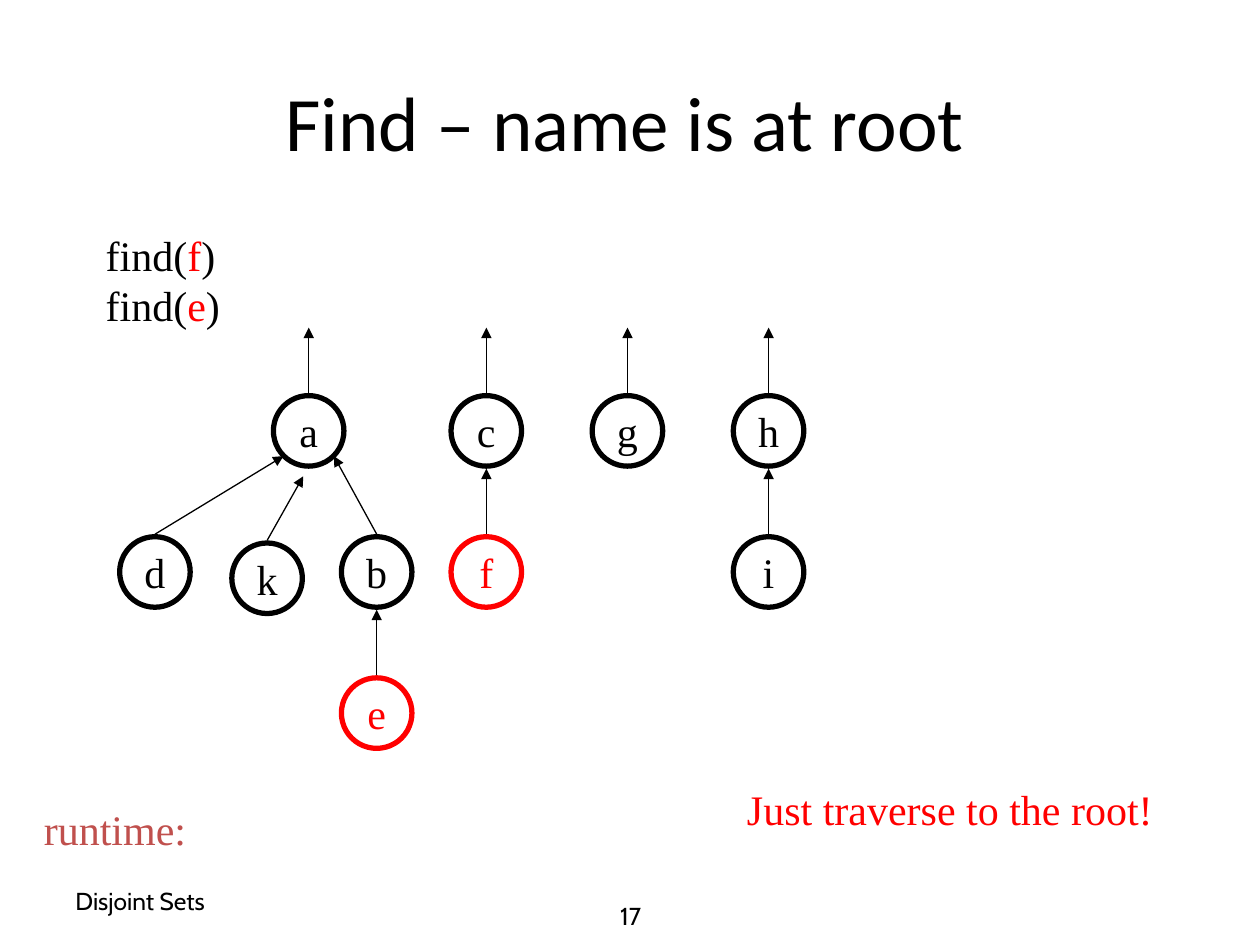
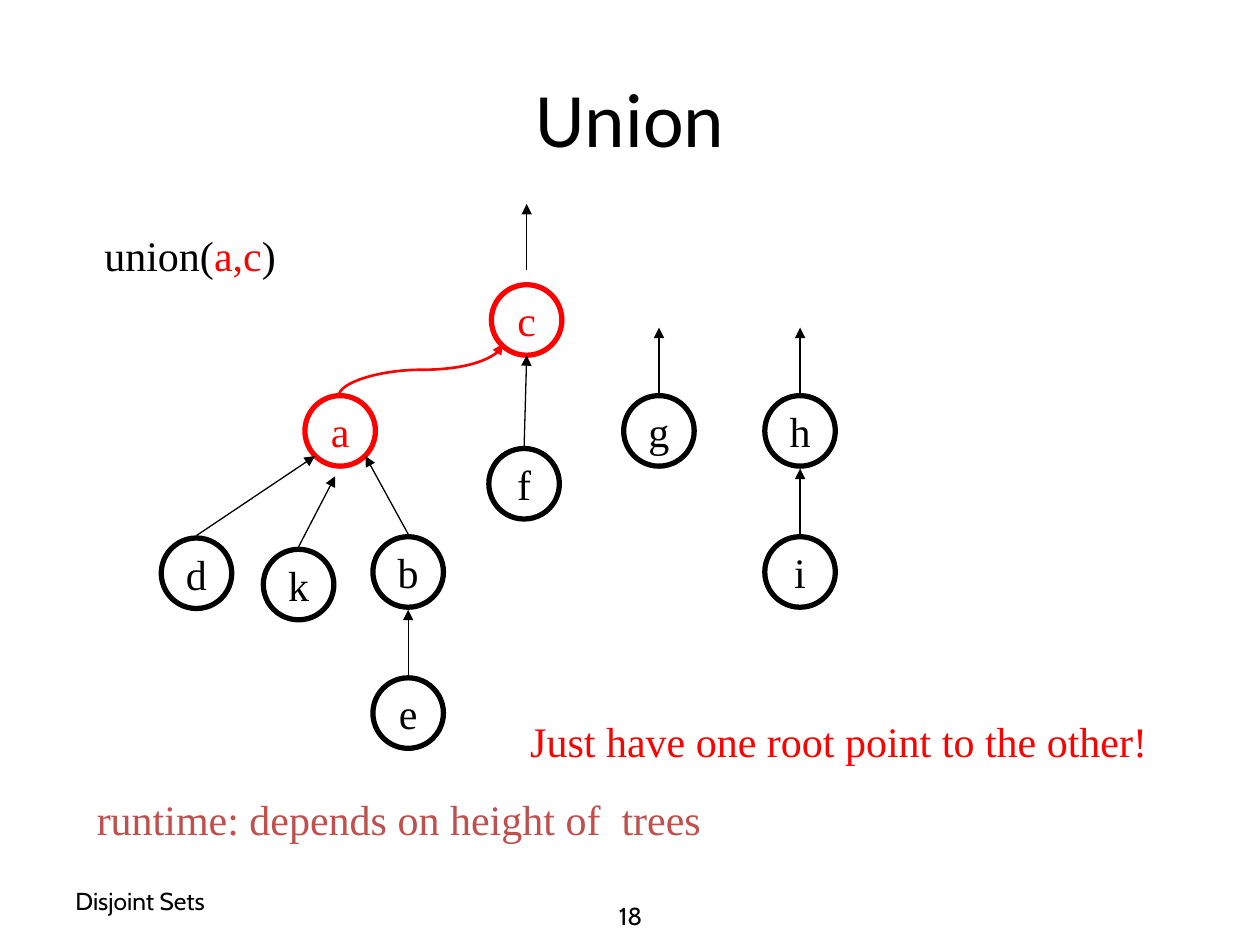
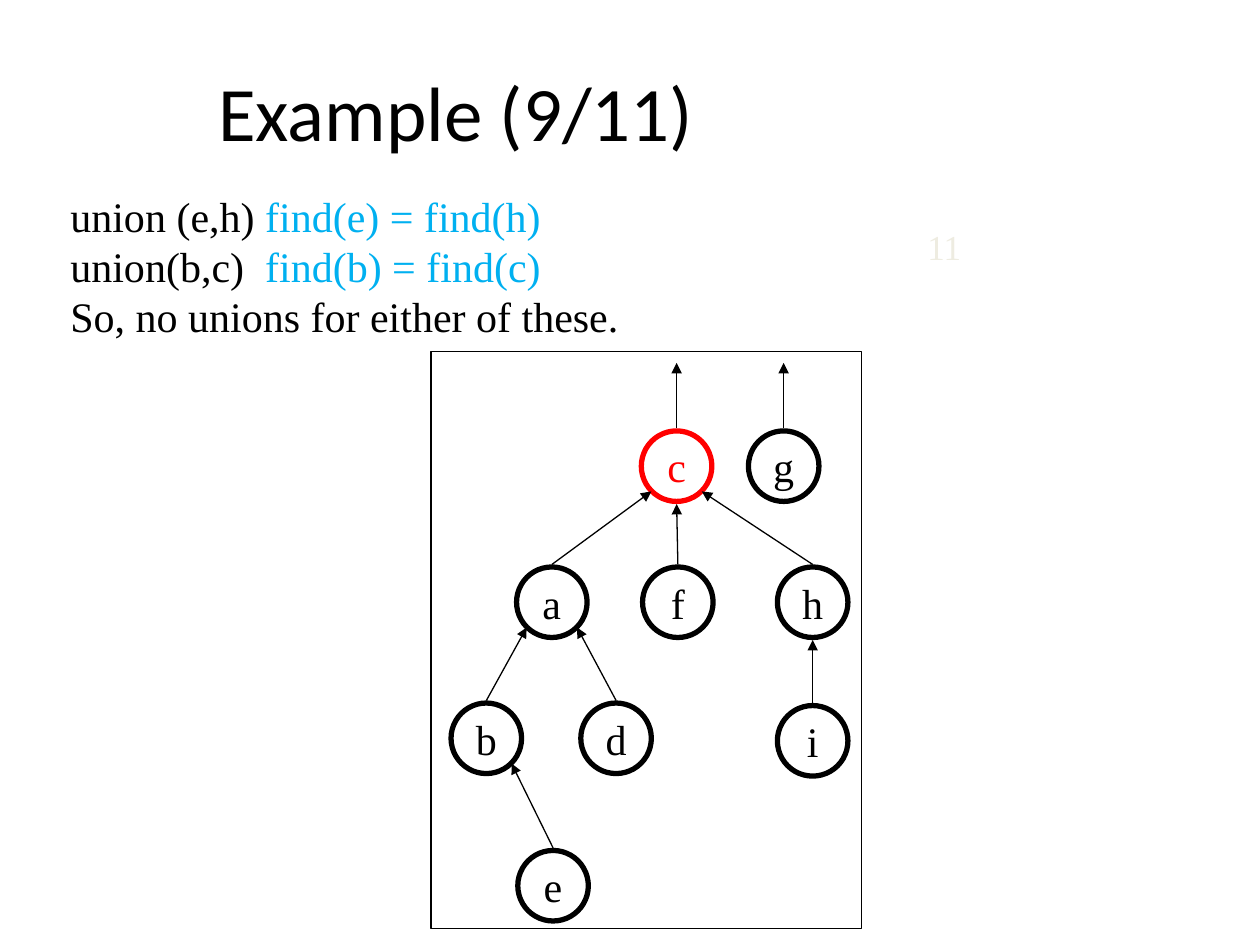
from lxml import etree
from pptx import Presentation
from pptx.dml.color import RGBColor
from pptx.enum.shapes import MSO_CONNECTOR, MSO_SHAPE
from pptx.enum.text import MSO_ANCHOR, PP_ALIGN
from pptx.oxml.ns import qn
from pptx.util import Inches, Pt

ELLIPSE, RECT = MSO_SHAPE.OVAL, MSO_SHAPE.RECTANGLE
STRAIGHT, CURVE = MSO_CONNECTOR.STRAIGHT, MSO_CONNECTOR.CURVE
LEFT, CENTER = PP_ALIGN.LEFT, PP_ALIGN.CENTER
MIDDLE, TOP = MSO_ANCHOR.MIDDLE, MSO_ANCHOR.TOP

COLORS = {"black": "000000", "red": "FF0000", "brick": "C0504D",
          "blue": "00B0F0", "pale": "EEECE1", "white": "FFFFFF"}
TITLE_FONT, FOOT_FONT, BODY_FONT = "Calibri", "Cabin", "Times New Roman"

# Tree geometry in inches: node diameter, level rows, arrow lengths
NODE = 0.56
ROWS = [3.14 + 1.12 * i for i in range(3)]
GAP, ROOT_ARROW, SIDE_REACH = 0.02, 0.52, 0.4


def rgb(name):
    return RGBColor.from_string(COLORS[name])


def write(sp, lines, size=24, font=BODY_FONT, align=LEFT, anchor=TOP, wrap=True):
    """Each line is a list of (text, colour) runs."""
    tf = sp.text_frame
    tf.word_wrap = wrap
    tf.vertical_anchor = anchor
    for i, runs in enumerate(lines):
        p = tf.paragraphs[0] if i == 0 else tf.add_paragraph()
        p.alignment = align
        for text, color in runs:
            r = p.add_run()
            r.text = text
            r.font.size, r.font.name = Pt(size), font
            r.font.color.rgb = rgb(color)


def add_text(s, box, lines, **style):
    sp = s.shapes.add_textbox(*map(Inches, box))
    write(sp, lines, **style)


def add_outline(s, kind, box, fill=None, line=None, width=0.75):
    sp = s.shapes.add_shape(kind, *map(Inches, box))
    sp.shadow.inherit = False
    if fill:
        sp.fill.solid()
        sp.fill.fore_color.rgb = rgb(fill)
    else:
        sp.fill.background()
    if line:
        sp.line.color.rgb = rgb(line)
        sp.line.width = Pt(width)
    else:
        sp.line.fill.background()
    return sp


def add_arrow(s, start, end, color="black", width=0.75, kind=STRAIGHT):
    c = s.shapes.add_connector(kind, *map(Inches, (*start, *end)))
    c.line.color.rgb = rgb(color)
    c.line.width = Pt(width)
    etree.SubElement(c.line._get_or_add_ln(), qn("a:tailEnd"), type="triangle")
    etree.SubElement(c._element.spPr, qn("a:effectLst"))
    return c


def add_rising_curve(s, start, end, color, width):
    """Curve that leaves and arrives vertically: a flipped one, turned by 90°."""
    mid_x, mid_y = (start[0] + end[0]) / 2, (start[1] + end[1]) / 2
    half_w, half_h = (start[1] - end[1]) / 2, (end[0] - start[0]) / 2
    c = add_arrow(s, (mid_x + half_w, mid_y + half_h),
                  (mid_x - half_w, mid_y - half_h), color, width, CURVE)
    c._element.spPr.xfrm.set("rot", str(90 * 60000))


def arrow_tip(child, parent, gap):
    """Point on the parent's lower rim that faces the child."""
    dx = child[0] - parent[0]
    if abs(dx) > SIDE_REACH:
        return parent[0] + (0.2 if dx > 0 else -0.2), parent[1] + 0.48
    bottom = parent[1] + NODE
    return parent[0] + dx * gap / (child[1] - bottom), bottom + gap


def add_forest(s, nodes, parents, red="", gaps=None):
    """nodes: name -> (left, top); parents: child -> parent, None for a root."""
    gaps = gaps or {}
    tops = {n: (x + NODE / 2, y) for n, (x, y) in nodes.items()}
    for name, (x, y) in nodes.items():
        color = "red" if name in red else "black"
        sp = add_outline(s, ELLIPSE, (x, y, NODE, NODE), line=color, width=3)
        write(sp, [[(name, color)]], align=CENTER, anchor=MIDDLE, wrap=False)
    for name, parent in parents.items():
        x, y = tops[name]
        gap = gaps.get(name, GAP)
        if parent:
            add_arrow(s, (x, y - GAP), arrow_tip((x, y), tops[parent], gap))
        else:
            add_arrow(s, (x, y - gap), (x, y - gap - ROOT_ARROW))


def add_slide(prs, title, box, number=None):
    s = prs.slides.add_slide(prs.slide_layouts[5])
    sp = s.shapes.title
    sp.left, sp.top, sp.width, sp.height = map(Inches, box)
    write(sp, [[(title, "black")]], 44, TITLE_FONT, CENTER, MIDDLE)
    if number:
        foot = {"size": 14, "font": FOOT_FONT, "anchor": MIDDLE}
        add_text(s, (0.5, 6.95, 2.33, 0.4), [[("Disjoint Sets", "black")]], **foot)
        add_text(s, (3.42, 7.07, 3.17, 0.4), [[(number, "black")]],
                 align=CENTER, **foot)
    return s


def find_slide(prs):
    s = add_slide(prs, "Find – name is at root", (0.71, 0.33, 8.5, 1.25), "17")
    top, mid, low = ROWS
    add_forest(s, {"a": (2.17, top), "c": (3.58, top), "g": (4.7, top),
                   "h": (5.82, top), "d": (0.95, mid), "b": (2.71, mid),
                   "e": (2.71, low), "f": (3.58, mid), "i": (5.82, mid),
                   "k": (1.84, 4.31)},
               {"a": None, "c": None, "g": None, "h": None, "d": "a", "b": "a",
                "k": "a", "e": "b", "f": "c", "i": "h"},
               red="ef", gaps={"k": 0.08})
    add_text(s, (0.74, 1.77, 1.11, 0.9),
             [[("find(", "black"), (n, "red"), (")", "black")] for n in "fe"],
             wrap=False)
    add_text(s, (5.83, 6.17, 3.42, 0.5), [[("Just traverse to the root!", "red")]])
    add_text(s, (0.25, 6.33, 1.33, 0.5), [[("runtime:", "brick")]])


def union_slide(prs):
    s = add_slide(prs, "Union", (0.5, 0.3, 9, 1.25), "18")
    top, mid, low = ROWS
    add_forest(s, {"a": (2.42, top), "c": (3.9, 2.26), "g": (4.95, top),
                   "h": (6.07, top), "d": (1.28, 4.27), "b": (2.96, mid),
                   "e": (2.96, low), "f": (3.88, 3.56), "i": (6.07, mid),
                   "k": (2.09, 4.36)},
               {"c": None, "g": None, "h": None, "d": "a", "b": "a",
                "k": "a", "e": "b", "f": "c", "i": "h"},
               red="ac", gaps={"c": 0.12, "f": 0, "k": 0.08})
    add_rising_curve(s, (2.69, 3.14), (3.99, 2.73), "red", 1.5)
    add_text(s, (0.73, 1.77, 1.56, 0.5),
             [[("union(", "black"), ("a,c", "red"), (")", "black")]], wrap=False)
    add_text(s, (4.11, 5.63, 5.14, 0.5),
             [[("Just have one root point to the other!", "red")]])
    add_text(s, (0.67, 6.25, 5.04, 0.5),
             [[("runtime: depends on height of  trees", "brick")]])


def example_slide(prs):
    s = add_slide(prs, "Example (9/11)", (0.08, 0.25, 7.08, 1.25))
    add_text(s, (0.46, 1.46, 4.62, 1.31),
             [[("union (e,h) ", "black"), ("find(e) = find(h)", "blue")],
              [("union(b,c)  ", "black"), ("find(b) = find(c)", "blue")],
              [("So, no unions for either of these.", "black")]], wrap=False)
    step = add_outline(s, RECT, (7.25, 1.74, 0.49, 0.43), fill="white")
    write(step, [[("11", "pale")]], 20, align=CENTER, anchor=MIDDLE, wrap=False)
    add_outline(s, RECT, (3.42, 2.79, 3.42, 4.58), fill="white", line="black")
    top, mid, low = [3.42 + 1.08 * i for i in range(3)]
    add_forest(s, {"f": (5.1, mid), "g": (5.94, top), "h": (6.17, mid),
                   "a": (4.1, mid), "b": (3.58, low), "c": (5.09, top),
                   "i": (6.17, 5.6), "d": (4.61, low), "e": (4.11, 6.75)},
               {"c": None, "g": None, "f": "c", "h": "c", "a": "c",
                "b": "a", "d": "a", "i": "h", "e": "b"}, red="c")


def main():
    prs = Presentation()
    prs.slide_width, prs.slide_height = Inches(10), Inches(7.5)
    find_slide(prs)
    union_slide(prs)
    example_slide(prs)
    prs.save("out.pptx")


if __name__ == "__main__":
    main()
